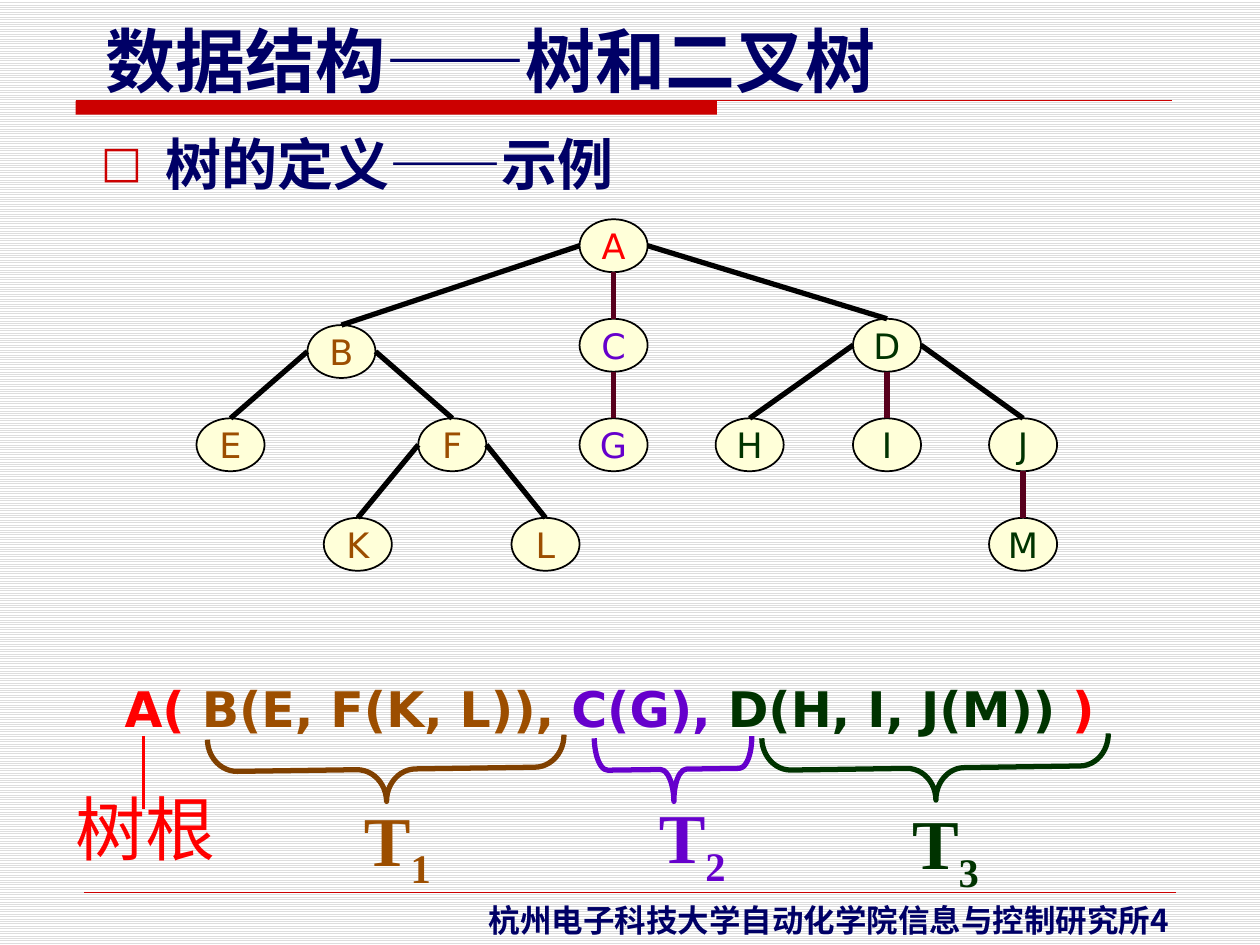
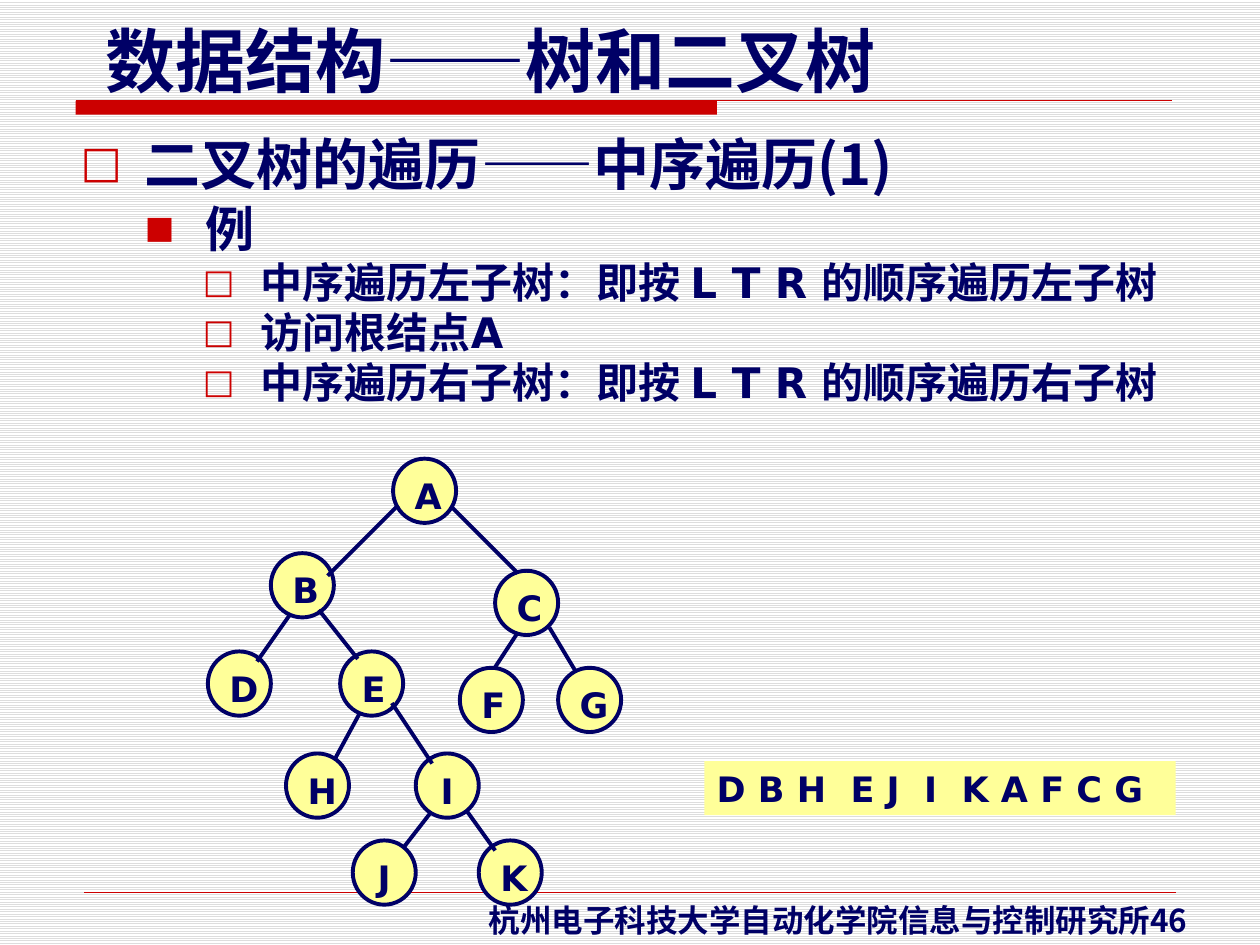
"""Build two lecture slides on trees: definition example and in-order traversal."""
from dataclasses import dataclass

from lxml import etree
from pptx import Presentation
from pptx.dml.color import RGBColor
from pptx.enum import dml, shapes, text
from pptx.oxml.ns import qn
from pptx.util import Inches, Pt


@dataclass(frozen=True)
class Theme:
    navy: str = "000066"
    red: str = "CC0000"
    root: str = "FF0000"
    brown: str = "9C4E00"
    brace_brown: str = "804000"
    purple: str = "6600CC"
    green: str = "003300"
    wine: str = "58001D"
    black: str = "000000"
    cream: str = "FFFFD9"
    yellow: str = "FFFF99"
    stripe: str = "DDDDDD"
    paper: str = "FFFFFF"
    sans: str = "DejaVu Sans"
    dash: str = "Arial"
    serif: str = "Times New Roman"
    cjk: str = "Noto Sans CJK SC"
    title: int = 40
    heading: int = 32
    formula: int = 28
    item: int = 24
    node: int = 20
    footer: int = 18


T = Theme()


def style(font, size, color, name=T.sans, bold=True):
    font.size, font.bold, font.name = Pt(size), bold, name
    font.color.rgb = RGBColor.from_string(color)
    etree.SubElement(font._rPr, qn("a:ea"), typeface=T.cjk)


def connect(slide, start, end, color, width):
    line = slide.shapes.add_connector(
        shapes.MSO_CONNECTOR.STRAIGHT, *(Inches(v) for v in (*start, *end)))
    line.line.color.rgb = RGBColor.from_string(color)
    line.line.width = Pt(width)
    etree.SubElement(line._element.spPr, qn("a:effectLst"))


prs = Presentation()
prs.slide_width, prs.slide_height = Inches(10), Inches(7.5)

title_runs = [("数据结构", T.sans), ("——", T.dash), ("树和二叉树", T.sans)]
levels = [
    (0.51, -0.54, "□", 78, T.heading, 0),
    (0.99, -0.48, "■", 64, T.formula, 7),
    (1.43, -0.46, "□", 80, T.item, 5),
]
definition = [(0, [("树的定义", T.sans), ("——", T.dash), ("示例", T.sans)])]
traversal = [
    (0, [("二叉树的遍历", T.sans), ("——", T.dash), ("中序遍历", T.sans), ("(1)", T.cjk)]),
    (1, [("例", T.sans)]),
    (2, [("中序遍历左子树：即按 L T R 的顺序遍历左子树", T.sans)]),
    (2, [("访问根结点A", T.sans)]),
    (2, [("中序遍历右子树：即按 L T R 的顺序遍历右子树", T.sans)]),
]
pages = [("4", definition, (0.7, 1.07, 8.47, 5.72)),
         ("46", traversal, (0.54, 1.07, 9.02, 6.08))]

for number, outline, outline_place in pages:
    slide = prs.slides.add_slide(prs.slide_layouts[1])
    backdrop = slide.background.fill
    backdrop.patterned()
    backdrop.pattern = dml.MSO_PATTERN.LIGHT_HORIZONTAL
    backdrop.fore_color.rgb = RGBColor.from_string(T.stripe)
    backdrop.back_color.rgb = RGBColor.from_string(T.paper)

    band = slide.shapes.add_shape(
        shapes.MSO_SHAPE.RECTANGLE, Inches(0.6), Inches(0.8), Inches(5.09), Inches(0.11))
    band.shadow.inherit = False
    band.fill.solid()
    band.fill.fore_color.rgb = RGBColor.from_string(T.red)
    band.line.fill.background()
    connect(slide, (0.6, 0.8), (9.3, 0.8), T.red, 0.75)
    connect(slide, (0.67, 7.08), (9.33, 7.08), T.red, 0.25)

    title = slide.shapes.title
    title.left, title.top, title.width, title.height = (
        Inches(v) for v in (0.74, 0.09, 6.5, 0.77))
    title.text_frame.auto_size = text.MSO_AUTO_SIZE.NONE
    title.text_frame.vertical_anchor = text.MSO_ANCHOR.MIDDLE
    heading = title.text_frame.paragraphs[0]
    heading.alignment = text.PP_ALIGN.LEFT
    style(heading.font, T.title, T.navy)
    for words, face in title_runs:
        run = heading.add_run()
        run.text, run.font.name = words, face

    footer = slide.shapes.add_textbox(Inches(3.78), Inches(7.1), Inches(6.11), Inches(0.4))
    footer.text_frame.word_wrap = True
    footer.text_frame.vertical_anchor = text.MSO_ANCHOR.MIDDLE
    institute = footer.text_frame.paragraphs[0]
    style(institute.font, T.footer, T.navy, T.serif)
    for words, face in (("杭州电子科技大学自动化学院信息与控制研究所", T.serif), (number, T.cjk)):
        run = institute.add_run()
        run.text, run.font.name = words, face

    body = slide.placeholders[1]
    body.left, body.top, body.width, body.height = (Inches(v) for v in outline_place)
    body.text_frame.auto_size = text.MSO_AUTO_SIZE.NONE
    for index, (level, runs) in enumerate(outline):
        point = body.text_frame.add_paragraph() if index else body.text_frame.paragraphs[0]
        margin, indent, bullet, scale, size, gap = levels[level]
        point.level = level
        point.line_spacing = 0.82
        point.space_before = Pt(gap)
        props = point._p.get_or_add_pPr()
        props.set("marL", str(Inches(margin)))
        props.set("indent", str(Inches(indent)))
        bullet_color = etree.SubElement(props, qn("a:buClr"))
        etree.SubElement(bullet_color, qn("a:srgbClr"), val=T.red)
        etree.SubElement(props, qn("a:buSzPct"), val=str(scale * 1000))
        etree.SubElement(props, qn("a:buFont"), typeface=T.sans)
        etree.SubElement(props, qn("a:buChar"), char=bullet)
        style(point.font, size, T.navy)
        for words, face in runs:
            run = point.add_run()
            run.text, run.font.name = words, face

definition_slide, traversal_slide = prs.slides

general_nodes = {
    "A": (4.6, 1.74, T.root), "B": (2.44, 2.58, T.brown), "C": (4.6, 2.53, T.purple),
    "D": (6.77, 2.53, T.green), "E": (1.56, 3.32, T.brown), "F": (3.32, 3.32, T.brown),
    "G": (4.6, 3.32, T.purple), "H": (5.68, 3.32, T.green), "I": (6.77, 3.32, T.green),
    "J": (7.85, 3.32, T.green), "M": (7.85, 4.11, T.green), "K": (2.57, 4.11, T.brown),
    "L": (4.06, 4.11, T.brown),
}
children = {"A": "BCD", "B": "EF", "C": "G", "D": "HIJ", "F": "KL", "J": "M"}
binary_nodes = {
    letter: (x, y, T.navy) for letter, x, y in [
        ("A", 3.12, 3.64), ("B", 2.15, 4.39), ("C", 3.93, 4.53), ("D", 1.65, 5.17),
        ("E", 2.7, 5.17), ("H", 2.27, 5.98), ("I", 3.3, 5.98), ("F", 3.65, 5.3),
        ("G", 4.43, 5.3), ("J", 2.8, 6.67), ("K", 3.8, 6.67)]
}
binary_edges = [
    ((2.3, 4.88), (2.04, 5.25)), ((2.53, 4.84), (2.84, 5.23)),
    ((3.11, 5.58), (3.43, 6.06)), ((2.85, 5.67), (2.66, 6.02)),
    ((3.16, 4.01), (2.6, 4.57)), ((3.59, 4.03), (4.11, 4.55)),
    ((4.11, 5.02), (3.92, 5.31)), ((4.36, 4.98), (4.57, 5.33)),
    ((3.41, 6.46), (3.2, 6.73)), ((3.7, 6.43), (3.93, 6.75)),
]
trees = [
    (definition_slide, general_nodes, 0.54, 0.42, T.cream, T.black, 1, False, text.MSO_ANCHOR.MIDDLE),
    (traversal_slide, binary_nodes, 0.5, 0.51, T.yellow, T.navy, 2.25, True, text.MSO_ANCHOR.TOP),
]
for slide, nodes, width, height, fill, outline, weight, bold, anchor in trees:
    for letter, (x, y, color) in nodes.items():
        node = slide.shapes.add_shape(
            shapes.MSO_SHAPE.OVAL, Inches(x), Inches(y), Inches(width), Inches(height))
        node.shadow.inherit = False
        node.fill.solid()
        node.fill.fore_color.rgb = RGBColor.from_string(fill)
        node.line.color.rgb = RGBColor.from_string(outline)
        node.line.width = Pt(weight)
        node.text_frame.word_wrap = bold
        node.text_frame.vertical_anchor = anchor
        label = node.text_frame.paragraphs[0]
        label.alignment = text.PP_ALIGN.CENTER
        label.add_run().text = letter
        style(label.font, T.node, color, bold=bold)

node_width, node_height = 0.54, 0.42
for parent, offspring in children.items():
    x, y, _ = general_nodes[parent]
    for child in offspring:
        child_x, child_y, _ = general_nodes[child]
        target = (child_x + node_width / 2, child_y)
        if child_x == x:
            connect(definition_slide, (target[0], y + node_height), target, T.wine, 3)
        else:
            side = x if child_x < x else x + node_width
            connect(definition_slide, (side, y + node_height / 2), target, T.black, 3)

for start, end in binary_edges:
    connect(traversal_slide, start, end, T.navy, 2.25)

braces = [
    (2.81, 4.69, 2.83, 0.459, T.brace_brown),
    (7.17, 4.72, 2.75, 0.446, T.green),
    (5.09, 5.48, 1.25, 0.203, T.purple),
]
for x, y, span, curl, color in braces:
    brace = definition_slide.shapes.add_shape(
        shapes.MSO_SHAPE.LEFT_BRACE, Inches(x), Inches(y), Inches(0.51), Inches(span))
    brace.shadow.inherit = False
    brace.rotation = 269.2
    brace.adjustments[0], brace.adjustments[1] = curl, 0.5
    brace.fill.background()
    brace.line.color.rgb = RGBColor.from_string(color)
    brace.line.width = Pt(3)

formula = [("A( ", T.root), ("B(E, F(K, L)), ", T.brown), ("C(G), ", T.purple),
           ("D(H, I, J(M)) ", T.green), (")", T.root)]
captions = [
    ((0.89, 5.33, 8.36, 0.57), formula, "", T.formula, T.sans, True),
    ((2.79, 6.27, 0.89, 0.77), [("T", T.brown)], "1", T.title, T.serif, True),
    ((7.14, 6.3, 0.89, 0.77), [("T", T.green)], "3", T.title, T.serif, True),
    ((5.13, 6.25, 0.89, 0.77), [("T", T.purple)], "2", T.title, T.serif, True),
    ((0.5, 6.18, 1.4, 0.77), [("树根", T.root)], "", T.title, T.serif, False),
]
for place, runs, subscript, size, face, bold in captions:
    caption = definition_slide.shapes.add_textbox(*(Inches(v) for v in place))
    caption.text_frame.word_wrap = True
    caption.text_frame.vertical_anchor = (
        text.MSO_ANCHOR.TOP if subscript else text.MSO_ANCHOR.MIDDLE)
    line = caption.text_frame.paragraphs[0]
    style(line.font, size, runs[0][1], face, bold)
    for words, color in runs:
        run = line.add_run()
        run.text = words
        if len(runs) > 1:
            run.font.color.rgb = RGBColor.from_string(color)
    if subscript:
        run = line.add_run()
        run.text = subscript
        run.font._rPr.set("baseline", "-25000")
connect(definition_slide, (1.14, 5.84), (1.14, 6.42), T.root, 1.5)

sequence = traversal_slide.shapes.add_shape(
    shapes.MSO_SHAPE.RECTANGLE, Inches(5.59), Inches(6.04), Inches(3.74), Inches(0.43))
sequence.shadow.inherit = False
sequence.fill.solid()
sequence.fill.fore_color.rgb = RGBColor.from_string(T.yellow)
sequence.line.fill.background()
sequence.text_frame.word_wrap = True
visited = sequence.text_frame.paragraphs[0]
visited.alignment = text.PP_ALIGN.LEFT
visited.add_run().text = "D B H  E J  I  K A F C G"
style(visited.font, T.node, T.navy)

prs.save("out.pptx")
